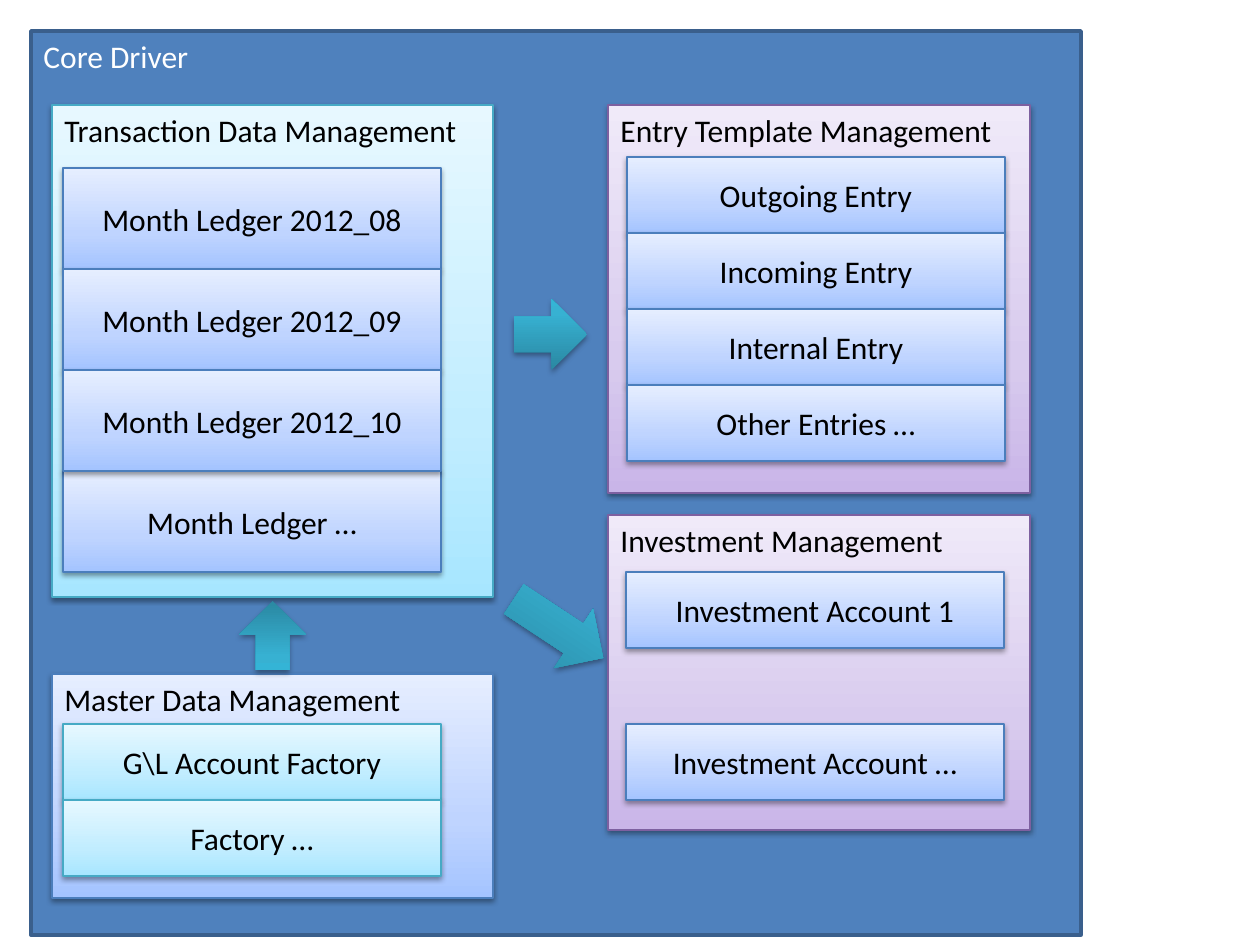
from lxml import etree
from pptx import Presentation
from pptx import util as u
from pptx.dml.color import RGBColor
from pptx.enum import shapes, text
from pptx.oxml.ns import qn

PX = 914400 / 126
FONT = "Calibri"
COLORS = {"core": "4F81BD", "core_line": "3A5F8C", "white": "FFFFFF", "black": "000000"}

# Gradient stops run from bottom to top: (percent, colour)
GRADIENTS = {
    "blue": [(0, "A4C4FF"), (35, "BFD4FF"), (100, "E6EEFF")],
    "cyan": [(0, "A7E6FF"), (35, "C1EDFF"), (100, "E7F8FF")],
    "purple": [(0, "C9B5E8"), (35, "D8CBEE"), (100, "F0EAF9")],
    "teal": [(0, "2A88A2"), (80, "37B1D2"), (100, "34B4D6")],
}
LINES = {"blue": "4B7EBC", "cyan": "46AAC5", "purple": "7D60A0"}

CORE = ("Core Driver", (31, 31, 1050, 904))
BAR_W = 378
# Bars are (slot, label), listed from back to front
PANELS = [
    {"title": "Transaction Data Management", "box": (52, 105, 441, 492), "style": "cyan",
     "bar_style": "blue", "first_bar": (63, 168), "bar_h": 101,
     "bars": [(0, "Month Ledger 2012_08"), (1, "Month Ledger 2012_09"),
              (3, "Month Ledger …"), (2, "Month Ledger 2012_10")]},
    {"title": "Master Data Management", "box": (52, 674, 441, 224), "style": "blue",
     "bar_style": "cyan", "first_bar": (63, 724), "bar_h": 76,
     "bars": [(0, "G\\L Account Factory"), (1, "Factory …")]},
    {"title": "Entry Template Management", "box": (608, 105, 422, 388), "style": "purple",
     "bar_style": "blue", "first_bar": (627, 157), "bar_h": 76,
     "bars": [(0, "Outgoing Entry"), (1, "Incoming Entry"),
              (2, "Internal Entry"), (3, "Other Entries …")]},
    {"title": "Investment Management", "box": (608, 515, 422, 315), "style": "purple",
     "bar_style": "blue", "first_bar": (626, 572), "bar_h": 76,
     "bars": [(0, "Investment Account 1"), (2, "Investment Account …")]},
]
SHAPE = shapes.MSO_SHAPE
ARROWS = [
    (SHAPE.DOWN_ARROW, (239, 601, 67, 69), 180),
    (SHAPE.RIGHT_ARROW, (514, 299, 73, 71), 0),
    (SHAPE.RIGHT_ARROW, (505, 593, 107, 71), 33.4),
]


def rgb(name):
    return RGBColor.from_string(COLORS.get(name, name))


def add_shape(s, kind, box):
    sp = s.shapes.add_shape(kind, *(round(n * PX) for n in box))
    sp.shadow.inherit = False
    return sp


def set_line(sp, color, width):
    sp.line.color.rgb = rgb(color)
    sp.line.width = u.Pt(width)


def set_gradient(sp, style):
    sp.fill.gradient()
    sp.fill.gradient_angle = 90
    stops = sp._element.spPr.find(".//" + qn("a:gsLst"))
    for old in list(stops):
        stops.remove(old)
    for pos, color in GRADIENTS[style]:
        gs = etree.SubElement(stops, qn("a:gs"), pos=str(pos * 1000))
        etree.SubElement(gs, qn("a:srgbClr"), val=color)


def set_shadow(sp, alpha, dist):
    effects = sp._element.spPr.find(qn("a:effectLst"))
    shadow = etree.SubElement(effects, qn("a:outerShdw"), blurRad=str(u.Pt(3.1)),
                              dist=str(u.Pt(dist)), dir="5400000", rotWithShape="0")
    color = etree.SubElement(shadow, qn("a:srgbClr"), val=COLORS["black"])
    etree.SubElement(color, qn("a:alpha"), val=str(alpha * 1000))


def set_label(sp, label, color="black", centred=False):
    tf = sp.text_frame
    tf.word_wrap = True
    tf.vertical_anchor = text.MSO_ANCHOR.MIDDLE if centred else text.MSO_ANCHOR.TOP
    p = tf.paragraphs[0]
    p.alignment = text.PP_ALIGN.CENTER if centred else text.PP_ALIGN.LEFT
    r = p.add_run()
    r.text = label
    r.font.name = FONT
    r.font.size = u.Pt(18)
    r.font.color.rgb = rgb(color)


def add_block(s, box, style, label, centred=False):
    sp = add_shape(s, SHAPE.RECTANGLE, box)
    set_gradient(sp, style)
    set_line(sp, LINES[style], 0.75)
    set_shadow(sp, 38, 1.6)
    set_label(sp, label, centred=centred)


def add_panel(s, panel):
    add_block(s, panel["box"], panel["style"], panel["title"])
    x, y = panel["first_bar"]
    h = panel["bar_h"]
    for slot, label in panel["bars"]:
        add_block(s, (x, y + slot * h, BAR_W, h), panel["bar_style"], label, centred=True)


def main():
    prs = Presentation()
    prs.slide_width, prs.slide_height = u.Inches(10), u.Inches(7.5)
    s = prs.slides.add_slide(prs.slide_layouts[6])

    title, box = CORE
    core = add_shape(s, SHAPE.RECTANGLE, box)
    core.fill.solid()
    core.fill.fore_color.rgb = rgb("core")
    set_line(core, "core_line", 2)
    set_label(core, title, "white")

    for panel in PANELS:
        add_panel(s, panel)

    for kind, box, angle in ARROWS:
        arrow = add_shape(s, kind, box)
        arrow.rotation = angle
        set_gradient(arrow, "teal")
        arrow.line.fill.background()
        set_shadow(arrow, 35, 1.8)

    prs.save("out.pptx")


if __name__ == "__main__":
    main()
